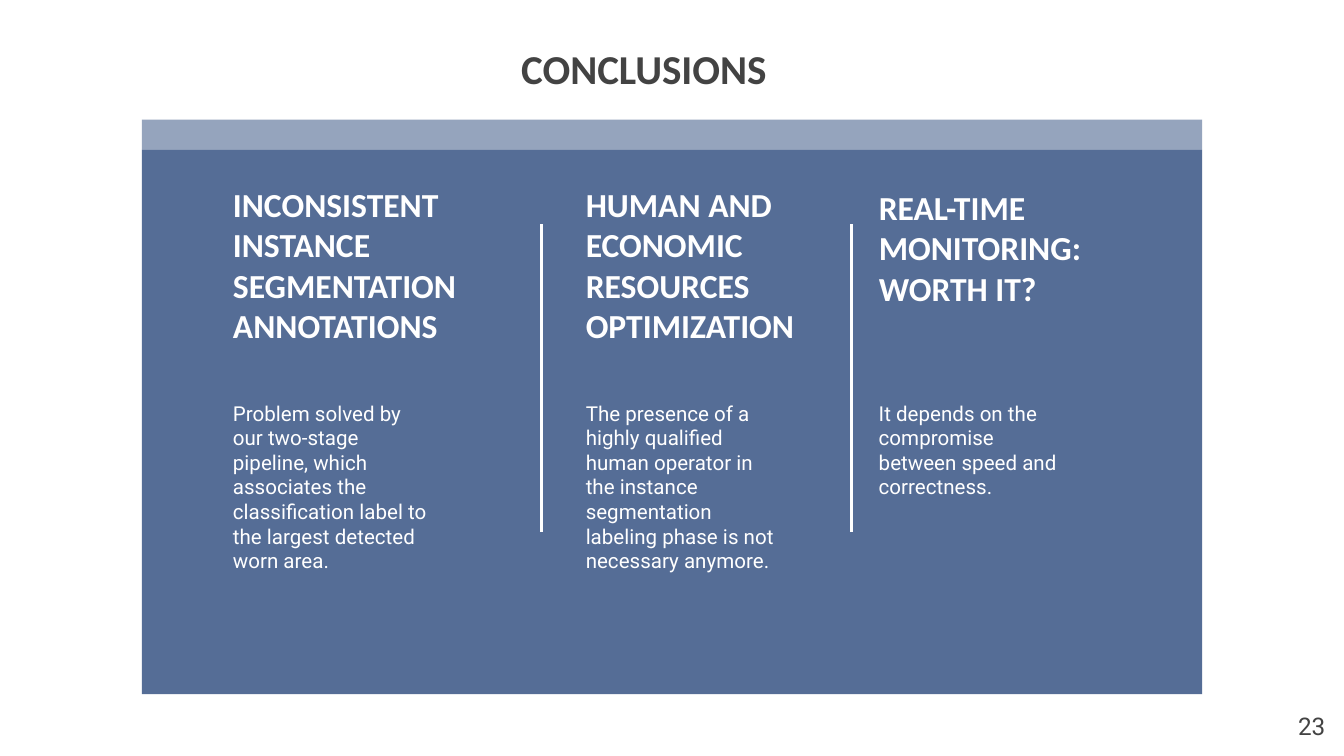
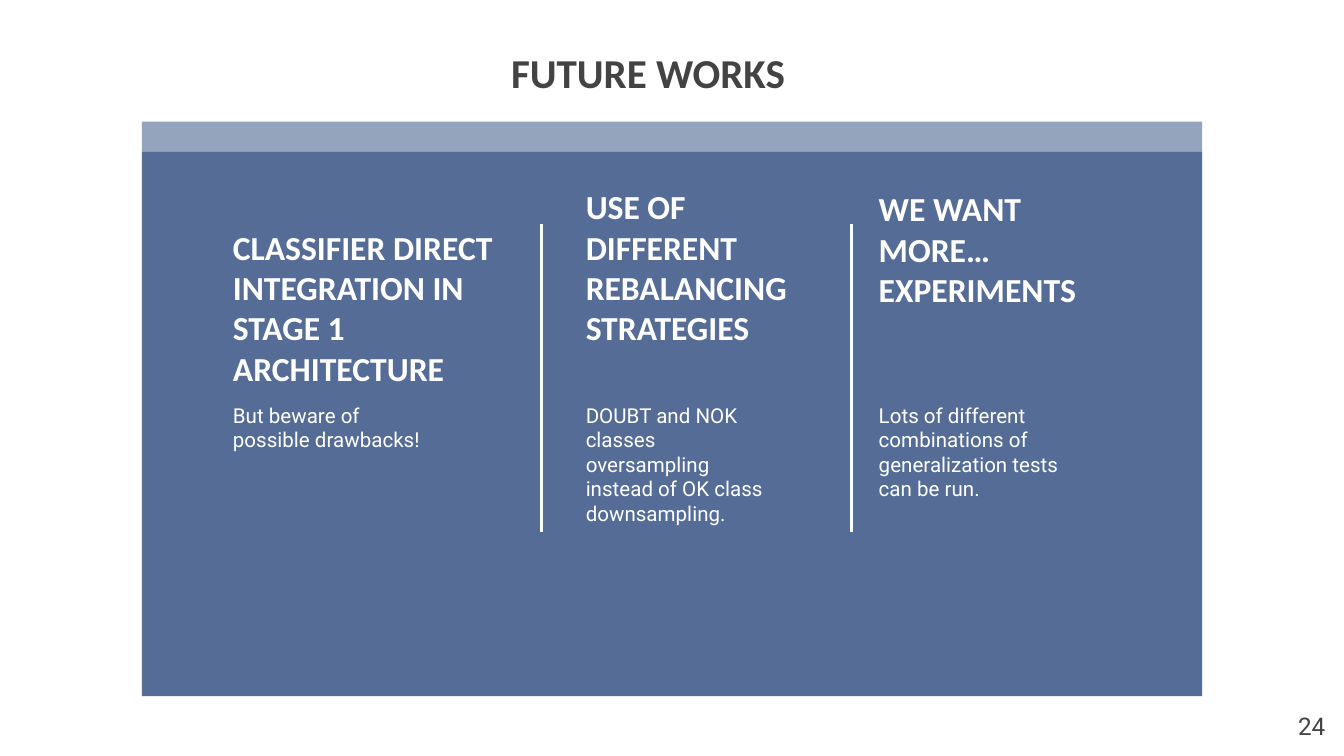
from dataclasses import dataclass
from typing import NamedTuple

from lxml.etree import SubElement
from pptx import Presentation
from pptx.dml.color import RGBColor
from pptx.enum.shapes import MSO_CONNECTOR as Connector, MSO_SHAPE as Shape
from pptx.enum.text import MSO_ANCHOR as Anchor, MSO_AUTO_SIZE as AutoSize, PP_ALIGN as Align
from pptx.oxml.ns import qn
from pptx.util import Emu, Pt

EMU_PER_PX = 4572


class Box(NamedTuple):
    left: int
    top: int
    width: int
    height: int


class Style(NamedTuple):
    font: str
    size: int
    color: RGBColor
    bold: bool = False


@dataclass(frozen=True)
class Theme:
    panel = RGBColor(0x55, 0x6D, 0x96)
    white = RGBColor(0xFF, 0xFF, 0xFF)
    ink = RGBColor(0x43, 0x43, 0x43)
    title = Style("Calibri", 22, ink, True)
    heading = Style("Calibri", 18, white, True)
    body = Style("Roboto", 11, white)
    number = Style("Roboto", 13, ink)
    band_alpha = 62
    divider_width = 1.5
    inset = 20
    heading_gap = 60


class Column(NamedTuple):
    heading: str
    body: str
    heading_box: Box
    body_box: Box


THEME = Theme()
PAGE = Box(0, 0, 2000, 1125)
BAND_HEIGHT = 45
LEFT, MIDDLE, RIGHT = 116, 641, 1077
BODY_TOP = 398
LEFT_BODY = Box(LEFT, BODY_TOP, 332, 402)
MIDDLE_BODY = Box(MIDDLE, BODY_TOP, 322, 270)
RIGHT_BODY = Box(RIGHT, BODY_TOP, 332, 244)
DIVIDERS = (806, 1267)

CONCLUSIONS = (
    Column("INCONSISTENT INSTANCE SEGMENTATION ANNOTATIONS",
           "Problem solved by our two-stage pipeline, which associates the "
           "classification label to the largest detected worn area.",
           Box(LEFT, 82, 454, 334), LEFT_BODY),
    Column("HUMAN AND ECONOMIC RESOURCES OPTIMIZATION",
           "The presence of a highly qualified human operator in the instance "
           "segmentation labeling phase is not necessary anymore.",
           Box(MIDDLE, 82, 410, 334), MIDDLE_BODY),
    Column("REAL-TIME MONITORING: WORTH IT?",
           "It depends on the compromise between speed and correctness.",
           Box(RIGHT, 90, 418, 270), RIGHT_BODY),
)
FUTURE_WORKS = (
    Column("CLASSIFIER DIRECT INTEGRATION IN STAGE 1 ARCHITECTURE",
           "But beware of possible drawbacks!",
           Box(LEFT, 146, 454, 270), LEFT_BODY),
    Column("USE OF DIFFERENT REBALANCING STRATEGIES",
           "DOUBT and NOK classes oversampling instead of OK class downsampling.",
           Box(MIDDLE, 90, 410, 326), MIDDLE_BODY),
    Column("WE WANT MORE… EXPERIMENTS",
           "Lots of different combinations of generalization tests can be run.",
           Box(RIGHT, 89, 400, 270), RIGHT_BODY),
)


def px(length):
    """Turn whole pixels into EMU."""
    return Emu(length * EMU_PER_PX)


def within(outer, inner):
    """Move a box given relative to another onto the slide."""
    return Box(outer.left + inner.left, outer.top + inner.top, inner.width, inner.height)


def add_text(slide, box, text, style, align=Align.LEFT, anchor=Anchor.TOP, gap_below=0):
    """Add one wrapped paragraph, with optional room kept free below it."""
    frame = slide.shapes.add_textbox(*map(px, box)).text_frame
    frame.word_wrap = True
    frame.vertical_anchor = anchor
    frame.margin_left = frame.margin_right = frame.margin_top = px(THEME.inset)
    frame.margin_bottom = px(THEME.inset + gap_below)
    paragraph = frame.paragraphs[0]
    paragraph.text = text
    paragraph.alignment = align
    paragraph.font.name = style.font
    paragraph.font.size = Pt(style.size)
    paragraph.font.bold = style.bold
    paragraph.font.color.rgb = style.color
    return frame


def add_block(slide, box, alpha=100):
    """Add a borderless rectangle in the panel colour."""
    block = slide.shapes.add_shape(Shape.RECTANGLE, *map(px, box))
    block.shadow.inherit = False
    block.fill.solid()
    block.fill.fore_color.rgb = THEME.panel
    block.line.fill.background()
    if alpha < 100:
        color = block._element.spPr.find(qn("a:solidFill"))[0]
        SubElement(color, qn("a:alpha"), val=str(alpha * 1000))


def add_panel(slide, box):
    """Draw the panel with its lighter band on top."""
    add_block(slide, Box(box.left, box.top + BAND_HEIGHT, box.width, box.height - BAND_HEIGHT))
    add_block(slide, Box(box.left, box.top, box.width, BAND_HEIGHT), THEME.band_alpha)


def add_column(slide, panel, column, gap_below):
    """Place a heading and its explanation in the panel."""
    add_text(slide, within(panel, column.heading_box), column.heading, THEME.heading,
             anchor=Anchor.BOTTOM, gap_below=gap_below)
    add_text(slide, within(panel, column.body_box), column.body, THEME.body)


def add_dividers(slide, box):
    """Draw the upright lines between the columns."""
    for offset in DIVIDERS:
        x = px(box.left + offset)
        divider = slide.shapes.add_connector(
            Connector.STRAIGHT, x, px(box.top + box.height), x, px(box.top))
        divider.line.color.rgb = THEME.white
        divider.line.width = Pt(THEME.divider_width)
        SubElement(divider._element.spPr, qn("a:effectLst"))


def add_column_slide(deck, title, title_box, panel, columns, gaps, number):
    """Build a slide with a title, a three-column panel and a page number."""
    slide = deck.slides.add_slide(deck.slide_layouts[6])
    add_panel(slide, panel)
    for column, gap in zip(columns, gaps):
        add_column(slide, panel, column, gap)
    add_text(slide, title_box, title, THEME.title).auto_size = AutoSize.SHAPE_TO_FIT_TEXT
    add_dividers(slide, Box(PAGE.left, 334, PAGE.width, 458))
    add_text(slide, Box(PAGE.width - 128, PAGE.height - 86, 120, 86), str(number),
             THEME.number, align=Align.RIGHT)


def main():
    """Build and save the deck."""
    deck = Presentation()
    deck.slide_width, deck.slide_height = px(PAGE.width), px(PAGE.height)
    gap = THEME.heading_gap
    add_column_slide(deck, "CONCLUSIONS", Box(756, 45, 488, 114), Box(211, 178, 1578, 855),
                     CONCLUSIONS, (gap, gap, gap), 23)
    add_column_slide(deck, "FUTURE WORKS", Box(741, 50, 520, 114), Box(211, 181, 1578, 855),
                     FUTURE_WORKS, (0, gap, gap), 24)
    deck.save("out.pptx")


if __name__ == "__main__":
    main()
